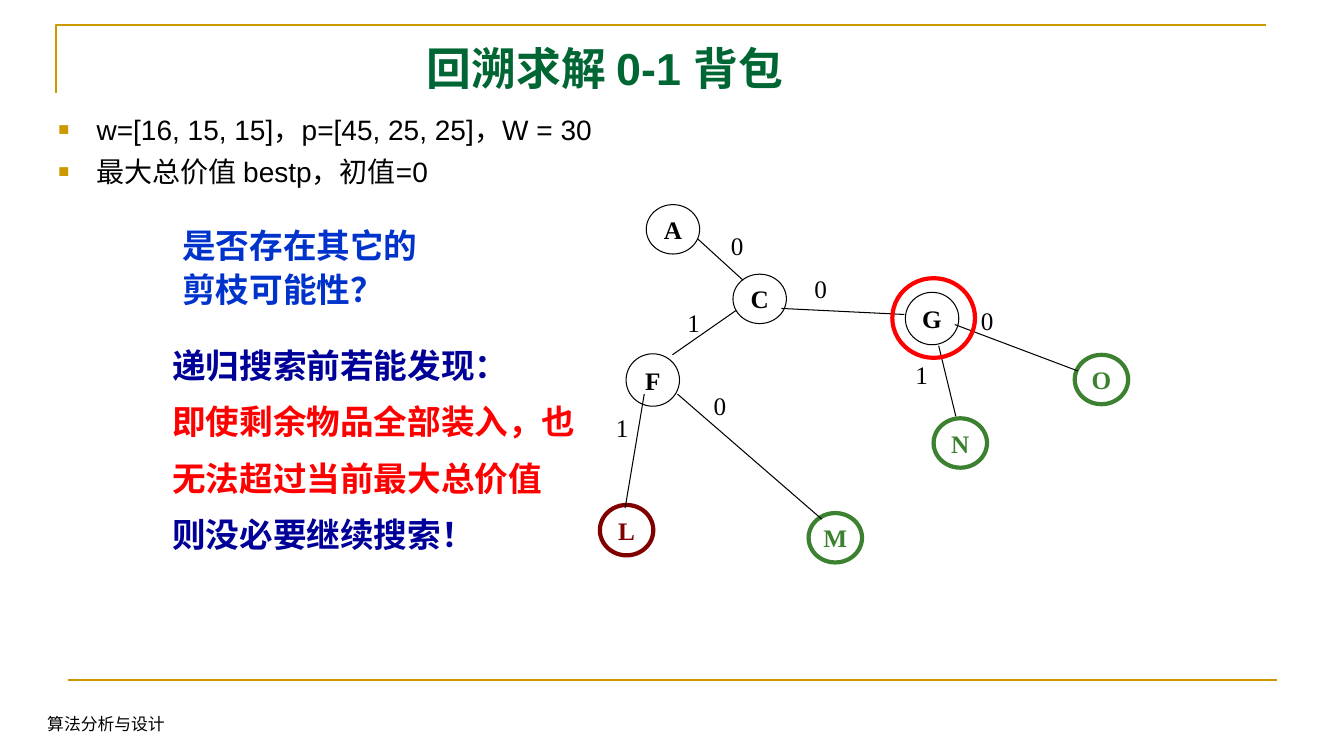
import pptx
import pptx.util
import pptx.dml.color
import pptx.enum.shapes
import pptx.enum.text
import pptx.oxml
import pptx.oxml.ns

Inches = pptx.util.Inches
Pt = pptx.util.Pt
ALIGN = pptx.enum.text.PP_ALIGN
ANCHOR = pptx.enum.text.MSO_ANCHOR
SHAPE = pptx.enum.shapes.MSO_SHAPE

COLORS = {
    "black": "000000", "white": "FFFFFF", "gold": "CC9900", "title": "006633",
    "maroon": "800000", "green": "3B812F", "blue": "0033CC", "navy": "000099",
    "red": "FF0000",
}

# name: left, top, height, colour, line width
NODES = {
    "A": (6.41, 2.03, 0.49, "black", 0.75),
    "C": (7.27, 2.72, 0.49, "black", 0.75),
    "F": (6.21, 3.51, 0.52, "black", 0.75),
    "G": (8.98, 2.9, 0.52, "black", 0.75),
    "L": (5.95, 5.01, 0.5, "maroon", 3),
    "M": (8.02, 5.09, 0.49, "green", 3),
    "N": (9.26, 4.15, 0.49, "green", 3),
    "O": (10.66, 3.52, 0.49, "green", 3),
}

# start, end, branch taken, left and top of its label
BRANCHES = [
    ((6.92, 2.37), (7.37, 2.78), "0", (7.15, 2.24)),
    ((7.3, 3.08), (6.67, 3.52), "1", (6.72, 3)),
    ((7.75, 3.06), (8.97, 3.12), "0", (7.98, 2.66)),
    ((6.39, 3.91), (6.2, 5.04), "1", (6.01, 4.04)),
    ((6.72, 3.91), (8.15, 5.15), "0", (6.98, 3.82)),
    ((9.48, 4.13), (9.31, 3.43), "1", (8.98, 3.52)),
    ((9.47, 3.22), (10.69, 3.68), "0", (9.63, 2.98)),
]


def rgb(name):
    return pptx.dml.color.RGBColor.from_string(COLORS[name])


class SlideBuilder:
    def __init__(self, slide):
        self.slide = slide
        self.shapes = slide.shapes
        self.serif = "Times New Roman"
        self.sans = "Arial"

    def fill_text(self, frame, lines, size, font, bold=False, spacing=None,
                  align=ALIGN.LEFT, anchor=ANCHOR.TOP, wrap=True):
        """Fill a text frame with (text, colour) lines, one paragraph each."""
        frame.auto_size = pptx.enum.text.MSO_AUTO_SIZE.NONE
        frame.word_wrap = wrap
        frame.vertical_anchor = anchor
        frame.text = "\n".join(text for text, _ in lines)
        for paragraph, (_, color) in zip(frame.paragraphs, lines):
            paragraph.alignment = align
            paragraph.line_spacing = spacing
            for run in paragraph.runs:
                run.font.size = Pt(size)
                run.font.name = font
                run.font.bold = bold
                run.font.color.rgb = rgb(color)

    def title(self, text, box):
        title = self.shapes.title
        title.left, title.top, title.width, title.height = map(Inches, box)
        self.fill_text(title.text_frame, [(text, "title")], 32, self.sans, True,
                       1.1, ALIGN.CENTER)

    def text(self, lines, box, size, font, **style):
        frame = self.shapes.add_textbox(*map(Inches, box)).text_frame
        self.fill_text(frame, lines, size, font, **style)
        return frame

    def bullets(self, lines, box):
        frame = self.text(lines, box, 20, self.sans, spacing=1.1)
        for index, paragraph in enumerate(frame.paragraphs):
            paragraph.space_before = Pt(4 if index else 0)
            properties = paragraph._p.get_or_add_pPr()
            properties.set("marL", str(Inches(0.38)))
            properties.set("indent", str(-Inches(0.38)))
            namespace = pptx.oxml.ns.nsdecls("a")
            for xml in (
                f'<a:buClr {namespace}><a:srgbClr val="{COLORS["gold"]}"/></a:buClr>',
                f'<a:buSzPct {namespace} val="65000"/>',
                f'<a:buFont {namespace} typeface="{self.sans}"/>',
                f'<a:buChar {namespace} char="■"/>',
            ):
                properties.append(pptx.oxml.parse_xml(xml))

    def shape(self, kind, box, fill=None, line=None, width=0.75):
        shape = self.shapes.add_shape(kind, *map(Inches, box))
        self.paint(shape, fill, line, width)
        return shape

    def paint(self, shape, fill, line, width):
        shape.shadow.inherit = False
        if fill:
            shape.fill.solid()
            shape.fill.fore_color.rgb = rgb(fill)
        else:
            shape.fill.background()
        if line:
            shape.line.color.rgb = rgb(line)
            shape.line.width = Pt(width)
        else:
            shape.line.fill.background()

    def node(self, name, left, top, height, color, width):
        circle = self.shape(SHAPE.OVAL, (left, top, 0.53, height), "white", color, width)
        self.fill_text(circle.text_frame, [(name, color)], 18, self.serif, True,
                       align=ALIGN.CENTER, anchor=ANCHOR.MIDDLE, wrap=False)

    def line(self, start, end, color="black", width=0.75):
        line = self.shapes.add_connector(
            pptx.enum.shapes.MSO_CONNECTOR.STRAIGHT, *map(Inches, start + end))
        line.line.color.rgb = rgb(color)
        line.line.width = Pt(width)
        line._element.spPr.append(pptx.oxml.parse_xml(
            f'<a:effectLst {pptx.oxml.ns.nsdecls("a")}/>'))

    def corner(self, points):
        (x, y), *rest = [tuple(map(Inches, point)) for point in points]
        builder = self.shapes.build_freeform(x, y)
        builder.add_line_segments(rest, close=False)
        self.paint(builder.convert_to_shape(), None, "gold", 1.5)


def main():
    deck = pptx.Presentation()
    deck.slide_width, deck.slide_height = Inches(13.33), Inches(7.5)
    page = SlideBuilder(deck.slides.add_slide(deck.slide_layouts[5]))

    page.corner([(0.56, 0.92), (0.56, 0.25), (12.56, 0.25)])
    page.line((0.67, 6.75), (12.67, 6.75), "gold", 1.5)
    page.text([("算法分析与设计", "black")], (0.37, 6.98, 4.22, 0.35), 12,
              page.serif, anchor=ANCHOR.BOTTOM)
    page.bullets([("w=[16, 15, 15]，p=[45, 25, 25]，W = 30", "black"),
                  ("最大总价值 bestp，初值=0", "black")], (0.48, 1.03, 9.27, 5.55))
    page.title("回溯求解 0-1 背包", (0, 0.3, 12, 0.77))

    for name, node in NODES.items():
        page.node(name, *node)
    for start, end, branch, label in BRANCHES:
        page.line(start, end)
        page.text([(branch, "black")], label + (0.33, 0.4), 18, page.serif, wrap=False)

    page.text([("是否存在其它的剪枝可能性？", "blue")], (1.71, 2.14, 2.74, 0.98), 24,
              page.serif, bold=True, spacing=1.1)
    page.shape(SHAPE.OVAL, (8.85, 2.76, 0.82, 0.79), line="red", width=3)
    pruning = page.shape(SHAPE.RECTANGLE, (1.61, 3.21, 4.27, 2.34), "white")
    page.fill_text(pruning.text_frame, [
        ("递归搜索前若能发现：", "navy"),
        ("即使剩余物品全部装入，也无法超过当前最大总价值", "red"),
        ("则没必要继续搜索！", "navy"),
    ], 24, page.serif, True, 1.4)

    deck.save("out.pptx")


if __name__ == "__main__":
    main()
